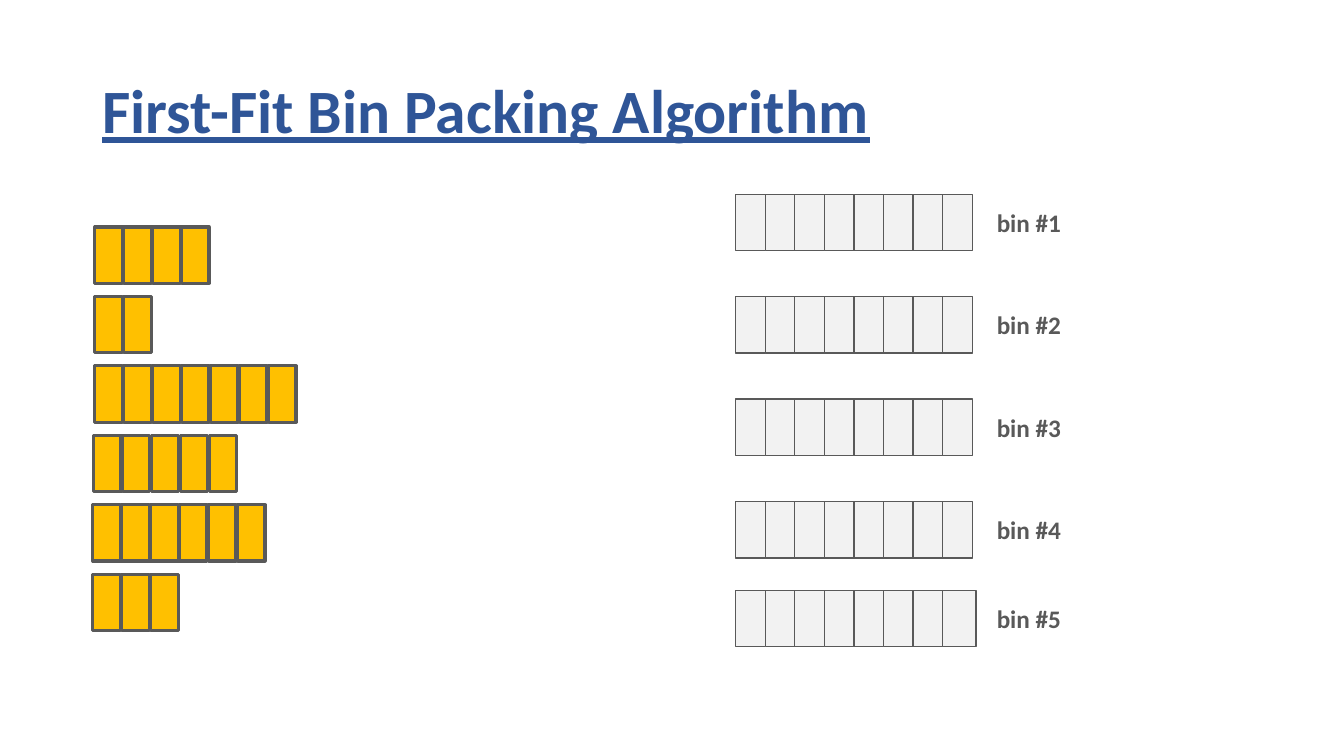
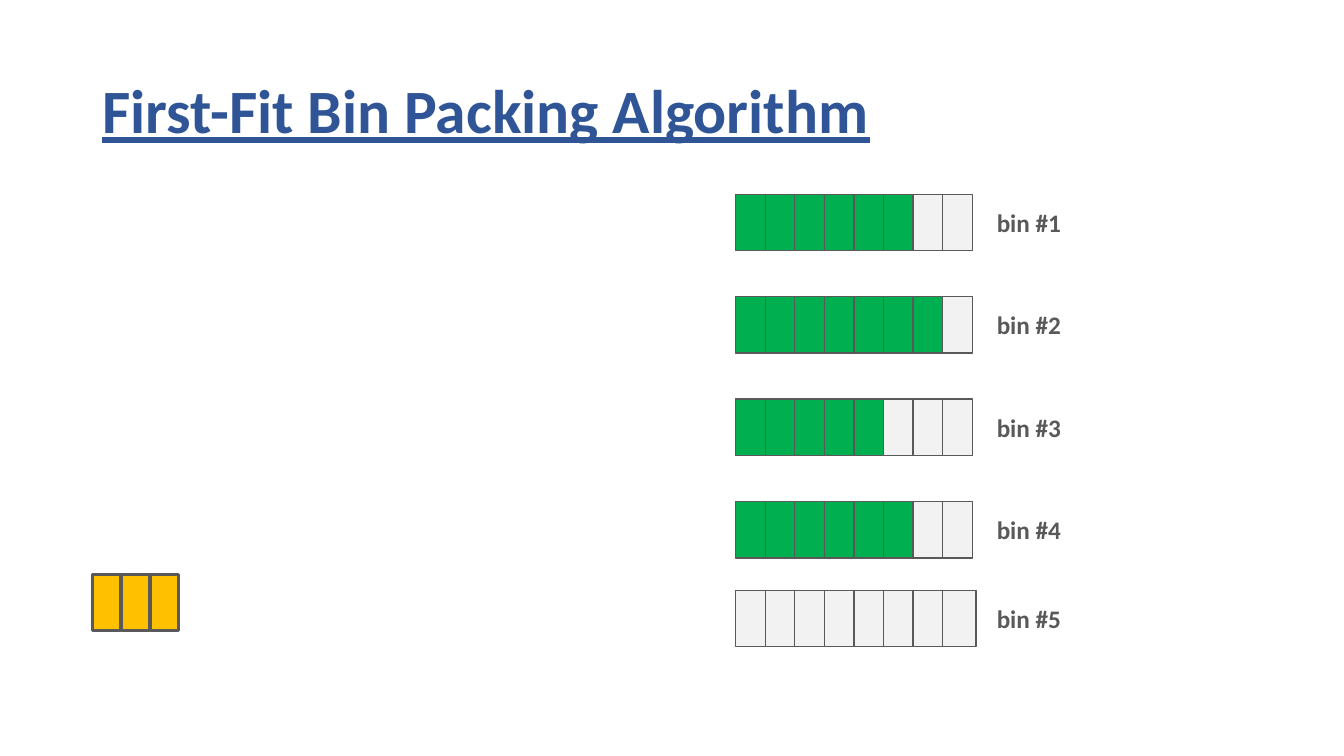
from pptx import Presentation
from pptx.dml.color import RGBColor as RGB
from pptx.enum.shapes import MSO_SHAPE as Shape
from pptx.enum.text import MSO_ANCHOR as Anchor
from pptx.util import Cm, Pt

FONT = "Calibri"
BLUE, GREY, PALE = "2F5597", "595959", "F2F2F2"
GREEN, GOLD = "00B050", "FFC000"
TITLE = "First-Fit Bin Packing Algorithm"
HIGH = 1.42
SLOTS = 8
BINS = [(4.9 + 2.58 * row, 0.76) for row in range(4)] + [(14.88, 0.84)]
ITEMS = [(2.39, 4), (2.39, 2), (2.39, 7), (2.36, 5), (2.34, 6), (2.34, 3)]
STEPS = [
    ([0, 0, 0, 0, 0], range(6)),
    ([6, 7, 5, 6, 0], [5]),
]


def color(code):
    """Turn a hex string into a colour."""
    return RGB.from_string(code)


def add_text(slide, text, box, size, code, line=False):
    """Add one bold line of text and return its frame."""
    frame = slide.shapes.add_textbox(*map(Cm, box)).text_frame
    frame.word_wrap = True
    para = frame.paragraphs[0]
    para.text = text
    font = para.font
    font.name, font.size, font.bold = FONT, Pt(size), True
    font.underline = line
    font.color.rgb = color(code)
    return frame


def add_title(slide):
    """Add the underlined slide title."""
    frame = add_text(slide, TITLE, (2.33, 1.02, 29.21, 3.68), 44, BLUE, True)
    frame.vertical_anchor = Anchor.MIDDLE
    frame.paragraphs[0].line_spacing = 0.9


def add_cells(slide, left, top, wide, step, fills, line):
    """Add a row of cells, one for each fill colour."""
    for col, fill in enumerate(fills):
        box = (left + col * step, top, wide, HIGH)
        cell = slide.shapes.add_shape(Shape.RECTANGLE, *map(Cm, box))
        cell.shadow.inherit = False
        cell.fill.solid()
        cell.fill.fore_color.rgb = color(fill)
        cell.line.color.rgb = color(GREY)
        cell.line.width = Pt(line)


def add_bin(slide, row, used):
    """Add a bin with its used slots and its label."""
    top, wide = BINS[row]
    fills = [GREEN] * used + [PALE] * (SLOTS - used)
    add_cells(slide, 18.54, top, wide, 0.745, fills, 1)
    add_text(slide, f"bin #{row + 1}", (24.87, top + 0.2, 2.44, 1.02), 18, GREY)


def add_item(slide, row):
    """Add an item that waits to be packed."""
    left, size = ITEMS[row]
    add_cells(slide, left, 5.72 + 1.75 * row, 0.69, 0.73, [GOLD] * size, 2.25)


def main():
    """Build and save the slides."""
    deck = Presentation()
    deck.slide_width, deck.slide_height = Cm(33.87), Cm(19.05)
    for loads, queue in STEPS:
        slide = deck.slides.add_slide(deck.slide_layouts[6])
        add_title(slide)
        for row, used in enumerate(loads):
            add_bin(slide, row, used)
        for row in queue:
            add_item(slide, row)
    deck.save("out.pptx")


main()
